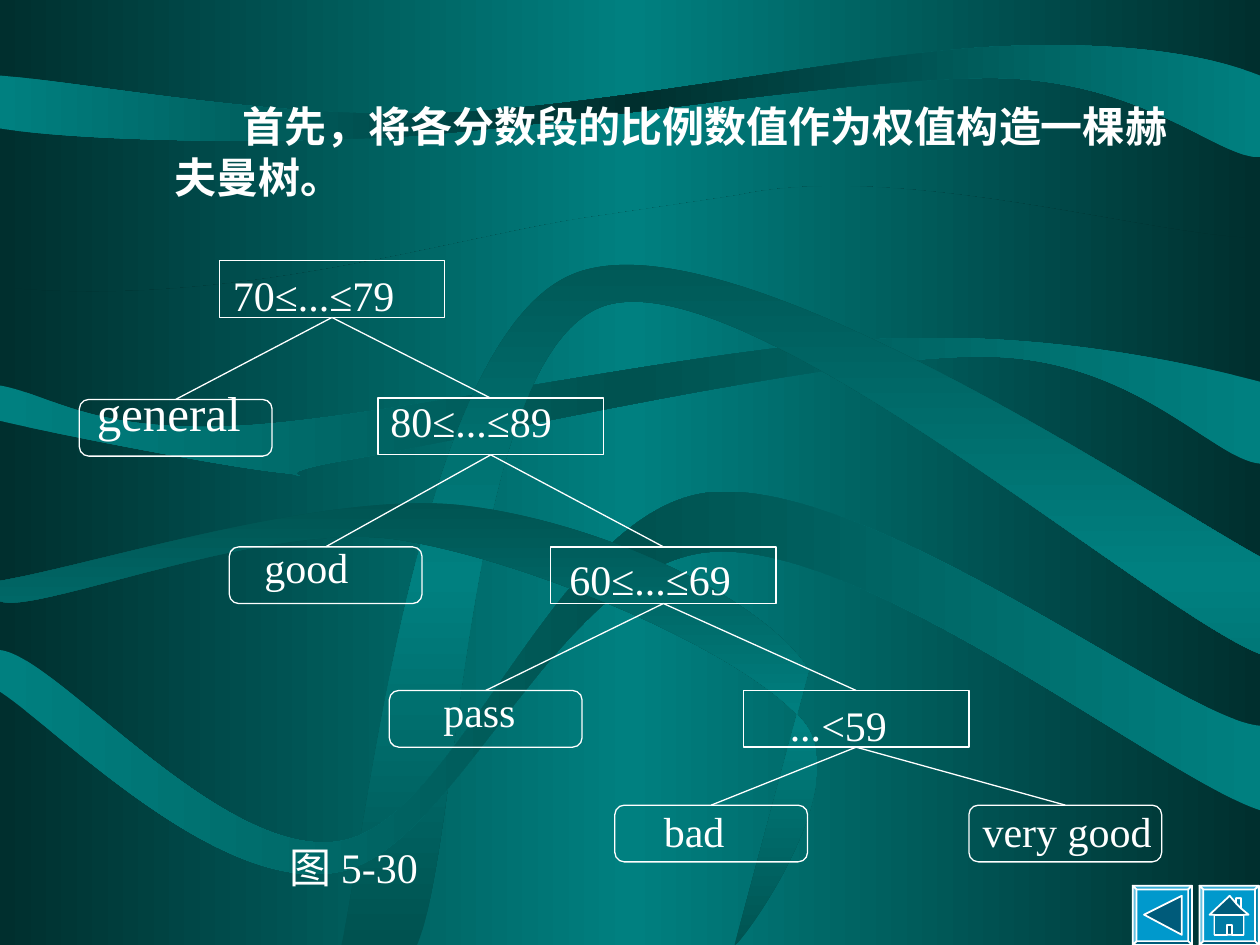
import lxml.etree
import pptx
import pptx.dml.color
import pptx.enum.shapes
import pptx.enum.text
import pptx.oxml.ns
import pptx.util

Inches = pptx.util.Inches
Pt = pptx.util.Pt
qn = pptx.oxml.ns.qn
Shape = pptx.enum.shapes.MSO_SHAPE
Align = pptx.enum.text.PP_ALIGN

COLORS = {"white": "FFFFFF", "dark": "002F2E", "deep": "005250", "teal": "008080", "button": "0099CC"}
FONT = "Times New Roman"
TOP, BOTTOM = 0, 2


def rgb(name):
    return pptx.dml.color.RGBColor.from_string(COLORS[name])


def pairs(numbers):
    return [(Inches(x), Inches(y)) for x, y in zip(numbers[::2], numbers[1::2])]


class TreeSlide:
    def __init__(self, deck):
        self.slide = deck.slides.add_slide(deck.slide_layouts[6])
        self.shapes = self.slide.shapes

    def gradient(self, fill, owner, outer, middle, angle=0):
        fill.gradient()
        fill.gradient_angle = angle
        stops = next(owner.iter(qn("a:gsLst")))
        for stop in list(stops):
            stops.remove(stop)
        for place, name in ((0, outer), (50000, middle), (100000, outer)):
            stop = lxml.etree.SubElement(stops, qn("a:gs"), pos=str(place))
            lxml.etree.SubElement(stop, qn("a:srgbClr"), val=COLORS[name])

    def background(self, outer, middle):
        self.gradient(self.slide.background.fill, self.slide.element, outer, middle)

    def ribbon(self, outer, middle, angle, start, segments):
        builder = self.shapes.build_freeform(*pairs(start)[0])
        for segment in segments:
            builder.add_line_segments(pairs(segment), close=False)
        builder.add_line_segments([], close=True)
        band = builder.convert_to_shape()
        band.shadow.inherit = False
        band.line.fill.background()
        self.gradient(band.fill, band.element, outer, middle, angle)
        legs = list(band.element.iter(qn("a:lnTo")))
        for segment in segments:
            group = [legs.pop(0) for _ in segment[::2]]
            if len(group) == 3:
                curve = lxml.etree.Element(qn("a:cubicBezTo"))
                group[0].addprevious(curve)
                for leg in group:
                    curve.append(leg[0])
                    leg.getparent().remove(leg)

    def nav_button(self, left, top, size, symbol):
        edge = 0.03
        far = size - edge
        frame = [
            ("norm", [(0, 0), (size, 0), (size, size), (0, size)]),
            ("lightenLess", [(0, 0), (size, 0), (far, edge), (edge, edge)]),
            ("darkenLess", [(size, 0), (size, size), (far, far), (far, edge)]),
            ("darken", [(size, size), (0, size), (edge, far), (far, far)]),
            ("lighten", [(0, size), (0, 0), (edge, edge), (edge, far)]),
        ]
        contours = frame + symbol
        builder = None
        for _, points in contours:
            first, *rest = [(Inches(left + x), Inches(top + y)) for x, y in points]
            if builder is None:
                builder = self.shapes.build_freeform(*first)
            else:
                builder.move_to(*first)
            builder.add_line_segments(rest, close=True)
        button = self.paint(builder.convert_to_shape(), "button", 1)
        whole = next(button.element.iter(qn("a:path")))
        steps = list(whole)
        shades = iter([shade for shade, _ in contours])
        for step in steps:
            if step.tag == qn("a:moveTo"):
                part = lxml.etree.SubElement(
                    whole.getparent(), qn("a:path"), w=whole.get("w"), h=whole.get("h"), fill=next(shades)
                )
            part.append(step)
        whole.getparent().remove(whole)

    def paint(self, box, fill, weight):
        box.shadow.inherit = False
        if fill:
            box.fill.solid()
            box.fill.fore_color.rgb = rgb(fill)
        else:
            box.fill.background()
        box.line.color.rgb = rgb("white")
        box.line.width = Pt(weight)
        return box

    def node(self, kind, left, top, width, height):
        box = self.shapes.add_shape(kind, Inches(left), Inches(top), Inches(width), Inches(height))
        return self.paint(box, None, 0.75)

    def text(self, words, left, top, width, height, size=24, bold=False, wrap=True, spacing=None, align=None):
        area = self.shapes.add_textbox(Inches(left), Inches(top), Inches(width), Inches(height))
        area.text_frame.word_wrap = wrap
        paragraph = area.text_frame.paragraphs[0]
        paragraph.text = words
        paragraph.alignment = align
        paragraph.line_spacing = spacing
        paragraph.font.name = FONT
        paragraph.font.size = Pt(size)
        paragraph.font.bold = bold
        paragraph.font.color.rgb = rgb("white")
        return paragraph

    def branch(self, parent, child):
        edge = self.shapes.add_connector(pptx.enum.shapes.MSO_CONNECTOR.STRAIGHT, 0, 0, 0, 0)
        edge.begin_connect(parent, BOTTOM)
        edge.end_connect(child, TOP)
        edge.line.color.rgb = rgb("white")
        edge.line.width = Pt(0.75)
        lxml.etree.SubElement(edge.element.spPr, qn("a:effectLst"))


RIBBONS = [
    ("dark", "teal", 0, (0, 2.28), [
        (1.78, 2.45, 3.4, 1.94, 4.58, 1.74), (4.58, 1.74, 5.67, 1.58, 5.86, 1.55),
        (7.15, 1.27, 9.17, 1.89, 10, 1.89), (10, 7.5), (0, 7.5), (0, 7.5, 0, 2.28, 0, 2.28)]),
    ("teal", "dark", 0, (0, 0.6), [
        (0, 1.02), (0.51, 1.1, 1.76, 1.15, 3.08, 1.09), (4.4, 1.02, 6.79, 0.6, 7.94, 0.62),
        (9.09, 0.65, 9.66, 1.25, 10, 1.25), (10, 0.6), (9.65, 0.46, 9.01, 0.32, 7.92, 0.37),
        (6.82, 0.42, 4.77, 0.86, 3.45, 0.9), (2.13, 0.94, 0.72, 0.66, 0, 0.6)]),
    ("teal", "deep", 0, (0, 3.06), [
        (0, 3.34), (0.37, 3.43, 1.75, 3.7, 2.22, 3.75), (2.69, 3.8, 1.9, 3.79, 2.82, 3.64),
        (3.75, 3.48, 6.6, 2.82, 7.8, 2.83), (9, 2.83, 9.63, 3.65, 10, 3.68), (10, 3.03),
        (9.5, 2.9, 8.36, 2.63, 7.01, 2.69), (5.66, 2.74, 3.07, 3.32, 1.9, 3.38),
        (0.73, 3.44, 0.4, 3.13, 0, 3.06)]),
    ("deep", "teal", 90, (2.71, 7.5), [
        (2.91, 6.61, 3.32, 2.69, 4.54, 2.18), (5.75, 1.66, 9.09, 3.92, 10, 4.42), (10, 5.19),
        (9.13, 4.85, 5.91, 2.05, 4.79, 2.43), (3.68, 2.82, 3.66, 6.66, 3.31, 7.5), (2.71, 7.5)]),
    ("teal", "deep", 0, (0, 5.16), [
        (0, 5.49), (0.45, 5.78, 1.74, 7.11, 2.69, 6.92), (3.63, 6.74, 4.43, 4.46, 5.65, 4.38),
        (6.87, 4.29, 9.27, 6.2, 10, 6.43), (10, 5.76), (9.38, 5.72, 6.91, 3.77, 5.62, 3.91),
        (4.41, 4.06, 3.67, 6.46, 2.73, 6.67), (1.79, 6.87, 0.45, 5.2, 0, 5.16)]),
    ("deep", "teal", 90, (0, 4.61), [
        (0, 4.77), (0.26, 4.89, 2.08, 4.13, 3.14, 4.28), (4.2, 4.44, 5.92, 5.18, 6.37, 5.72),
        (6.82, 6.25, 5.82, 7.57, 5.83, 7.5), (6.42, 5.32), (6.06, 4.74, 4.73, 4.13, 3.66, 4.01),
        (2.59, 3.89, 0.76, 4.48, 0, 4.61)]),
]
LABELS = [
    ("very good", 7.7, 6.42, 2.3, 0.66, 24, 0.8),
    ("bad", 5.17, 6.42, 1.8, 0.56, 24, 0.8),
    ("pass", 3.42, 5.42, 1.8, 0.79, 24, 0.96),
    ("general", 0.67, 3.08, 1.8, 0.77, 28, 0.8),
    ("good", 2, 4.33, 1.8, 0.77, 24, 0.8),
    ("60≤...≤69", 4.42, 4.42, 2.5, 0.56, 24, 0.8),
    ("...<59", 6.17, 5.58, 1.8, 0.56, 24, 0.8),
    ("80≤...≤89", 3, 3.17, 2.25, 0.56, 24, 0.8),
    ("70≤...≤79", 1.75, 2.17, 2.4, 0.56, 24, 0.8),
]
TESTS = [(1.74, 2.07), (3, 3.16), (4.37, 4.34), (5.9, 5.48)]
GRADES = [(0.63, 3.17), (1.82, 4.34), (3.09, 5.48), (4.88, 6.39), (7.69, 6.39)]
CHIMNEY = [(0.29, 0.14), (0.29, 0.1), (0.33, 0.1), (0.33, 0.18)]
HOME = [
    ("darken", [(0.24, 0.08), *CHIMNEY, (0.39, 0.23), (0.35, 0.23), (0.35, 0.39),
                (0.12, 0.39), (0.12, 0.23), (0.08, 0.23)]),
    ("darkenLess", CHIMNEY),
    ("darkenLess", [(0.22, 0.31), (0.26, 0.31), (0.26, 0.39), (0.35, 0.39), (0.35, 0.23),
                    (0.12, 0.23), (0.12, 0.39), (0.22, 0.39)]),
]
BACK = [("darken", [(0.09, 0.23), (0.39, 0.08), (0.39, 0.39)])]


def main():
    deck = pptx.Presentation()
    deck.slide_width, deck.slide_height = Inches(10), Inches(7.5)
    page = TreeSlide(deck)
    page.background("dark", "teal")
    for ribbon in RIBBONS:
        page.ribbon(*ribbon)
    intro = page.text("首先，将各分数段的比例数值作为权值构造一棵赫夫曼树。", 0.92, 0.75, 8.5, 0.92, bold=True)
    indents = intro._p.get_or_add_pPr()
    indents.set("marL", str(Inches(0.37)))
    indents.set("indent", str(Inches(0.54)))
    for words, left, top, width, height, size, spacing in LABELS:
        page.text(words, left, top, width, height, size, spacing=spacing, align=Align.JUSTIFY)
    tests = [page.node(Shape.RECTANGLE, *corner, 1.79, 0.45) for corner in TESTS]
    grades = [page.node(Shape.FLOWCHART_ALTERNATE_PROCESS, *corner, 1.53, 0.45) for corner in GRADES]
    for test, grade, following in zip(tests, grades, tests[1:] + grades[-1:]):
        page.branch(test, grade)
        page.branch(test, following)
    page.text("图 5-30", 2.2, 6.63, 1.3, 0.5, wrap=False)
    for left, symbol in ((9.52, HOME), (8.99, BACK)):
        page.nav_button(left, 7.03, 0.47, symbol)
    deck.save("out.pptx")


if __name__ == "__main__":
    main()
